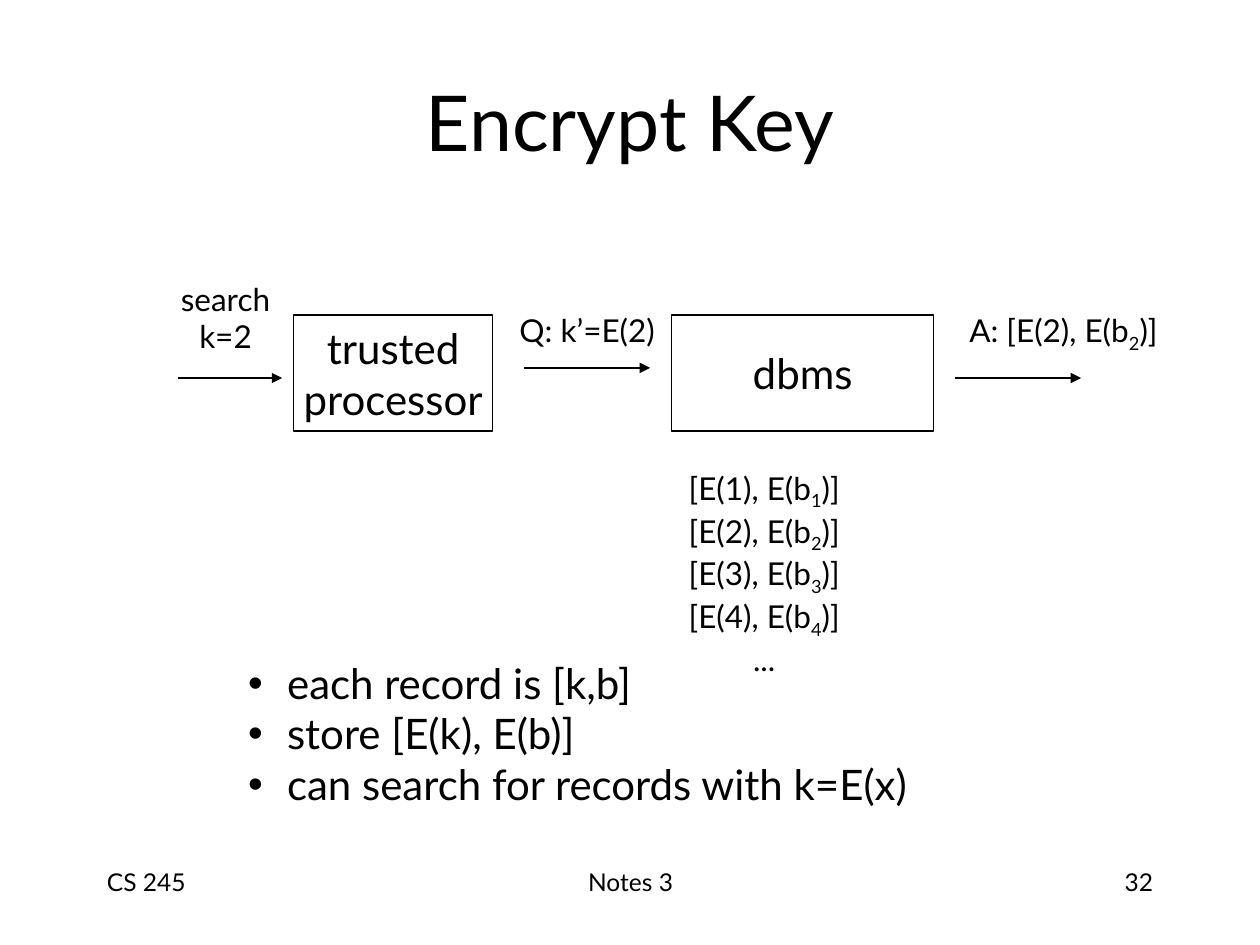
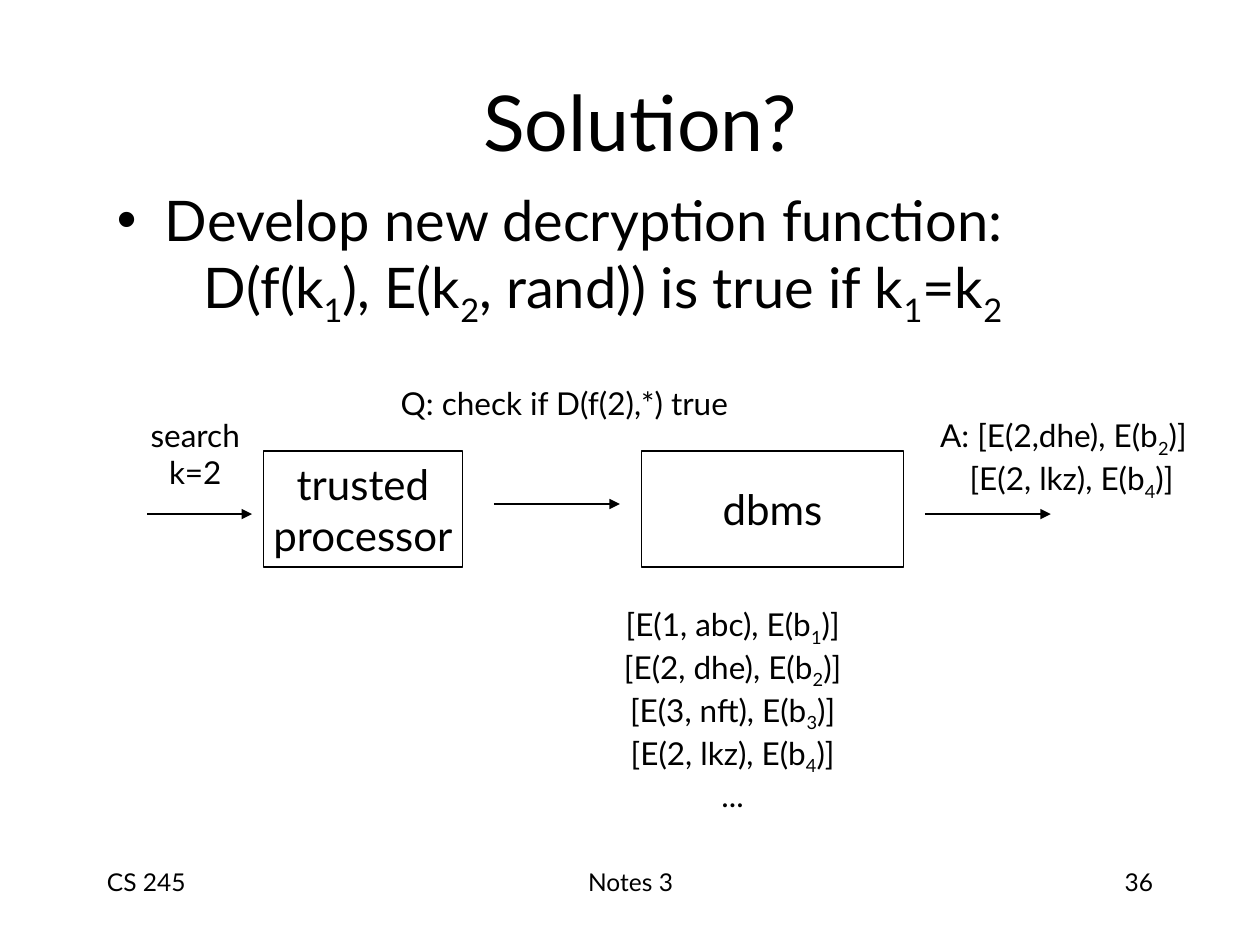
from lxml import etree
from pptx import Presentation
from pptx.dml.color import RGBColor
from pptx.enum.shapes import MSO_CONNECTOR, MSO_SHAPE
from pptx.enum.text import MSO_ANCHOR, MSO_AUTO_SIZE, PP_ALIGN
from pptx.oxml.ns import qn
from pptx.util import Inches, Pt

LEFT, MID, RIGHT = PP_ALIGN.LEFT, PP_ALIGN.CENTER, PP_ALIGN.RIGHT
TOP, CENTER = MSO_ANCHOR.TOP, MSO_ANCHOR.MIDDLE
FIT, FIXED = MSO_AUTO_SIZE.SHAPE_TO_FIT_TEXT, MSO_AUTO_SIZE.NONE
RECT, LINE = MSO_SHAPE.RECTANGLE, MSO_CONNECTOR.STRAIGHT

COLORS = {"ink": "000000", "paper": "FFFFFF"}
FONT = "Lato"
STROKE = Pt(0.74)


def color(name):
    return RGBColor.from_string(COLORS[name])


def add_run(para, text, size, sub=False):
    run = para.add_run()
    run.text = text
    run.font.size = Pt(size)
    run.font.name = FONT
    run.font.color.rgb = color("ink")
    if sub:
        run.font._element.set("baseline", "-25000")


def indent(para, margin, bullet=False):
    props = para._p.get_or_add_pPr()
    props.set("marL", str(Inches(margin)))
    props.set("indent", str(-Inches(margin) if bullet else 0))
    if bullet:
        etree.SubElement(props, qn("a:buFont"), typeface="Arial")
        etree.SubElement(props, qn("a:buChar"), char="•")


def write(frame, text, size=18, align=MID, anchor=TOP, wrap=False, fit=FIXED,
          before=0):
    """Fill a frame, one paragraph a line; the sign after "_" is a subscript."""
    frame.word_wrap = wrap
    frame.auto_size = fit
    frame.vertical_anchor = anchor
    for i, line in enumerate(text.split("\n")):
        para = frame.add_paragraph() if i else frame.paragraphs[0]
        para.alignment = align
        para.space_before = Pt(0 if i else before)
        first, *rest = line.split("_")
        add_run(para, first, size)
        for part in rest:
            add_run(para, part[0], size, sub=True)
            if part[1:]:
                add_run(para, part[1:], size)
    return frame.paragraphs


def add_label(slide, box, text, **form):
    shape = slide.shapes.add_textbox(*map(Inches, box))
    return write(shape.text_frame, text, **form)


def add_box(slide, box, text):
    shape = slide.shapes.add_shape(RECT, *map(Inches, box))
    shape.shadow.inherit = False
    shape.fill.solid()
    shape.fill.fore_color.rgb = color("paper")
    shape.line.color.rgb = color("ink")
    shape.line.width = STROKE
    write(shape.text_frame, text, size=24, anchor=CENTER)


def add_arrow(slide, x, y, width):
    ends = map(Inches, (x, y, x + width, y))
    arrow = slide.shapes.add_connector(LINE, *ends)
    arrow.line.color.rgb = color("ink")
    arrow.line.width = STROKE
    etree.SubElement(arrow.line._get_or_add_ln(), qn("a:tailEnd"),
                     type="triangle")
    etree.SubElement(arrow._element.spPr, qn("a:effectLst"))


def add_slide(deck, title, box, number):
    slide = deck.slides.add_slide(deck.slide_layouts[5])
    head = slide.shapes.title
    head.left, head.top, head.width, head.height = map(Inches, box)
    write(head.text_frame, title, size=44, anchor=CENTER, wrap=True)
    # Footer
    for x, width, text, align in ((0.75, 2.08, "CS 245", LEFT),
                                  (3.42, 3.17, "Notes 3", MID),
                                  (7.17, 2.08, number, RIGHT)):
        add_label(slide, (x, 6.83, width, 0.5), text, size=14, align=align,
                  wrap=True)
    return slide


def add_flow(slide, x, y):
    """Draw search, processor and dbms; x, y is the processor's corner."""
    add_box(slide, (x, y, 1.58, 0.92), "trusted\nprocessor")
    add_box(slide, (x + 3, y, 2.08, 0.92), "dbms")
    for dx, dy, width in ((-0.92, 0.5, 0.83), (1.83, 0.42, 1), (5.25, 0.5, 1)):
        add_arrow(slide, x + dx, y + dy, width)
    add_label(slide, (x - 1.03, y - 0.33, 0.98, 0.7), "search\nk=2", fit=FIT)


def key_slide(deck):
    slide = add_slide(deck, "Encrypt Key", (0.75, 0.33, 8.5, 1.25), "32")
    add_flow(slide, 2.33, 2.5)
    # Query, answer and stored records
    add_label(slide, (4.02, 2.42, 1.28, 0.4), "Q: k’=E(2)", fit=FIT)
    add_label(slide, (7.57, 2.42, 1.74, 0.44), "A: [E(2), E(b_2)]", fit=FIT)
    rows = [f"[E({n}), E(b_{n})]" for n in range(1, 5)]
    add_label(slide, (5.34, 3.67, 1.45, 1.77), "\n".join(rows + ["..."]),
              fit=FIT)
    # Points
    points = add_label(slide, (1.87, 5.17, 5.68, 1.3),
                       "each record is [k,b]\nstore [E(k), E(b)]\n"
                       "can search for records with k=E(x)",
                       size=24, align=LEFT, wrap=True, fit=FIT)
    for para in points:
        indent(para, 0.31, bullet=True)


def answer_slide(deck):
    slide = add_slide(deck, "Solution?", (0.83, 0.42, 8.5, 1.08), "36")
    # Main point and its formula
    point, rule = add_label(slide, (0.83, 1.42, 8.5, 1.25),
                            "Develop new decryption function:\n"
                            "D(f(k_1), E(k_2, rand)) is true if k_1=k_2",
                            size=32, align=LEFT, wrap=True, before=8)
    indent(point, 0.38, bullet=True)
    indent(rule, 0.69)
    add_flow(slide, 2.09, 3.58)
    # Query, answer and stored records
    add_label(slide, (3.01, 3, 2.94, 0.4), "Q: check if D(f(2),*) true",
              fit=FIT)
    reply = add_label(slide, (7.31, 3.25, 2.26, 0.78),
                      "A: [E(2,dhe), E(b_2)]\n[E(2, lkz), E(b_4)]", fit=FIT)
    indent(reply[1], 0.13)
    pairs = ("1, abc", "2, dhe", "3, nft", "2, lkz")
    rows = [f"[E({pair}), E(b_{n})]" for n, pair in enumerate(pairs, 1)]
    add_label(slide, (4.8, 4.75, 2.03, 1.77), "\n".join(rows + ["..."]),
              fit=FIT)


def main():
    deck = Presentation()
    deck.slide_width, deck.slide_height = Inches(10), Inches(7.5)
    key_slide(deck)
    answer_slide(deck)
    deck.save("out.pptx")


main()
